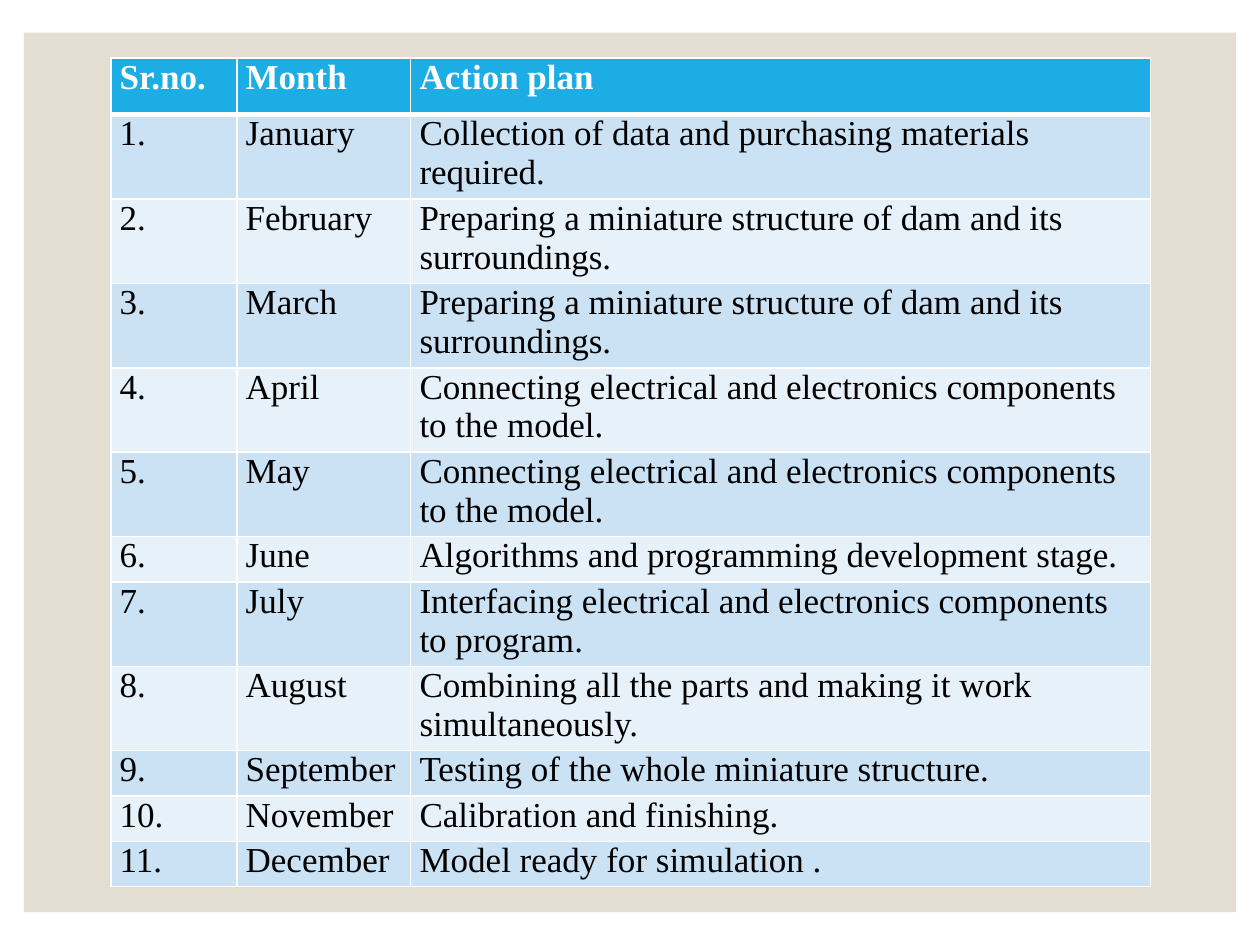
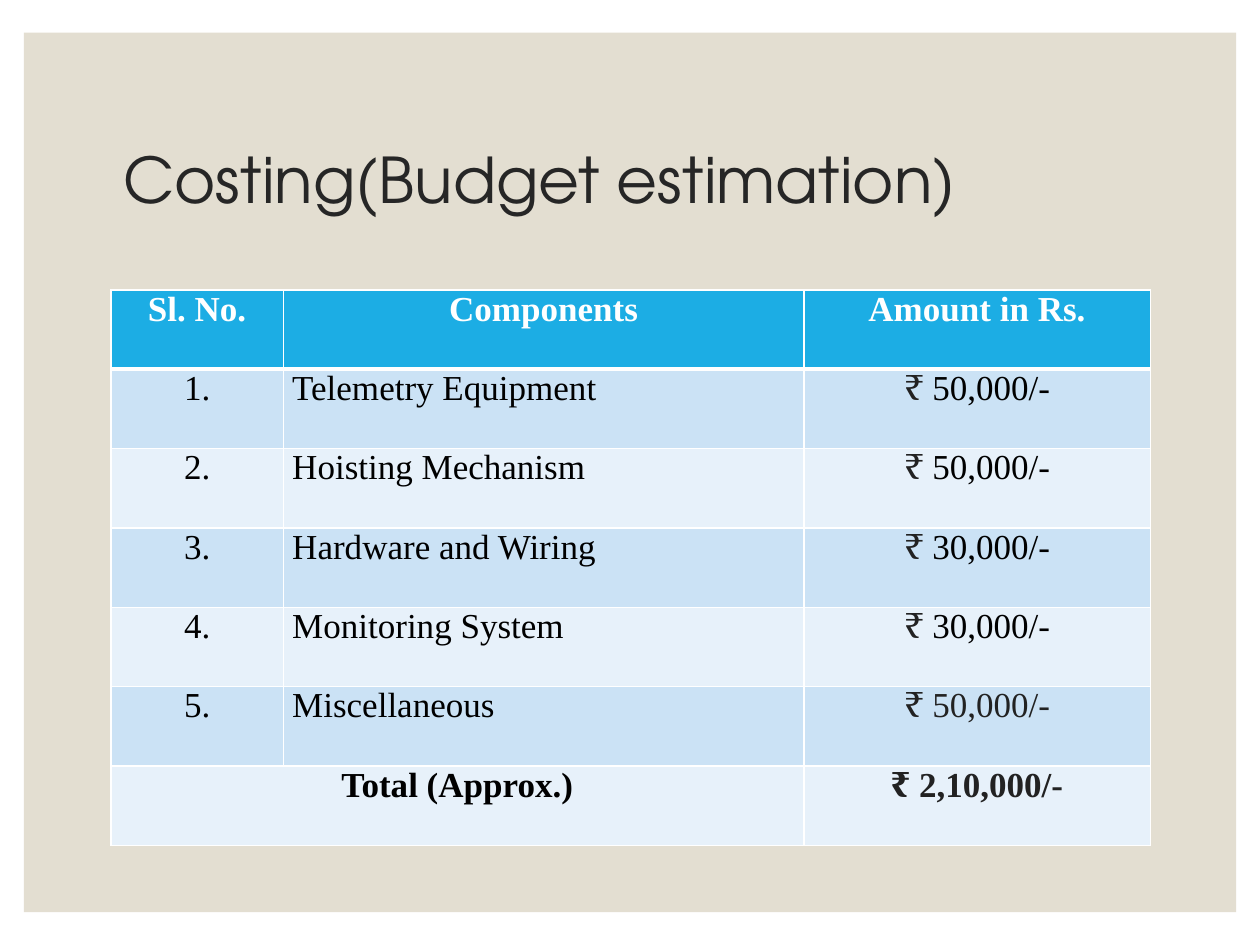
import lxml.etree
import pptx
import pptx.dml.color
import pptx.enum.shapes
import pptx.enum.text
import pptx.oxml.ns
import pptx.util

Inches = pptx.util.Inches
Pt = pptx.util.Pt
RGBColor = pptx.dml.color.RGBColor
Align = pptx.enum.text.PP_ALIGN
Anchor = pptx.enum.text.MSO_ANCHOR
qn = pptx.oxml.ns.qn

WHITE = RGBColor(0xFF, 0xFF, 0xFF)
BLACK = RGBColor(0x00, 0x00, 0x00)
INK = RGBColor(0x22, 0x22, 0x22)
TITLE_GREY = RGBColor(0x26, 0x26, 0x26)
SAND = RGBColor(0xE3, 0xDE, 0xD1)
HEADER_BLUE = RGBColor(0x1C, 0xAD, 0xE4)
BAND_DARK = RGBColor(0xCB, 0xE2, 0xF5)
BAND_LIGHT = RGBColor(0xE7, 0xF1, 0xFA)

LEFT = 0.88
WIDTH = 8.25
ONE_LINE, TWO_LINES = 0.36, 0.67

ACTION_PLAN = [
    ("January", "Collection of data and purchasing materials required.", TWO_LINES),
    ("February", "Preparing a miniature structure of dam and its surroundings.", TWO_LINES),
    ("March", "Preparing a miniature structure of dam and its surroundings.", TWO_LINES),
    ("April", "Connecting electrical and electronics components to the model.", TWO_LINES),
    ("May", "Connecting electrical and electronics components to the model.", TWO_LINES),
    ("June", "Algorithms and programming development stage.", ONE_LINE),
    ("July", "Interfacing electrical and electronics components to program.", TWO_LINES),
    ("August", "Combining all the parts and making it work simultaneously.", TWO_LINES),
    ("September", "Testing of the whole miniature structure.", ONE_LINE),
    ("November", "Calibration and finishing.", ONE_LINE),
    ("December", "Model ready for simulation .", ONE_LINE),
]

COSTS = [
    ("Telemetry Equipment", "50,000/-", BLACK),
    ("Hoisting Mechanism", "50,000/-", BLACK),
    ("Hardware and Wiring", "30,000/-", BLACK),
    ("Monitoring System", "30,000/-", BLACK),
    ("Miscellaneous", "50,000/-", INK),
]


class StyledDeck:
    """Holds the deck's shared style and the page being built."""

    title_font = {"name": "TeX Gyre Adventor", "size": Pt(36), "bold": False}
    cell_font = {"name": "Times New Roman", "size": Pt(20), "bold": False}
    cell_layout = {
        "margin_left": Inches(0.07),
        "margin_right": Inches(0.07),
        "margin_top": 0,
        "margin_bottom": 0,
        "vertical_anchor": Anchor.TOP,
    }
    title_layout = {
        "margin_left": Inches(0.1),
        "margin_right": Inches(0.1),
        "margin_top": Inches(0.05),
        "margin_bottom": Inches(0.05),
        "vertical_anchor": Anchor.MIDDLE,
        "word_wrap": True,
    }

    def __init__(self):
        self.deck = pptx.Presentation()
        self.deck.slide_width = Inches(10)
        self.deck.slide_height = Inches(7.5)
        self.page = None

    def apply(self, target, values):
        for name, value in values.items():
            setattr(target, name, value)

    def new_page(self):
        self.page = self.deck.slides.add_slide(self.deck.slide_layouts[6])
        panel = self.page.shapes.add_shape(
            pptx.enum.shapes.MSO_SHAPE.RECTANGLE,
            Inches(0.19), Inches(0.26), Inches(9.62), Inches(6.98))
        panel.shadow.inherit = False
        panel.fill.solid()
        panel.fill.fore_color.rgb = SAND
        panel.line.fill.background()

    def add_spans(self, para, spans, font):
        for text, color in spans:
            span = para.add_run()
            span.text = text
            self.apply(span.font, font)
            span.font.color.rgb = color

    def title(self, text):
        box = self.page.shapes.add_textbox(
            Inches(LEFT), Inches(0.7), Inches(WIDTH), Inches(1.5))
        self.apply(box.text_frame, self.title_layout)
        para = box.text_frame.paragraphs[0]
        para.line_spacing = 0.9
        self.add_spans(para, [(text, TITLE_GREY)], self.title_font)

    def borders(self, cell, widths):
        properties = cell._tc.get_or_add_tcPr()
        for position, (side, points) in enumerate(widths.items()):
            line = lxml.etree.Element(qn(f"a:ln{side}"), w=str(Pt(points)))
            fill = lxml.etree.SubElement(line, qn("a:solidFill"))
            lxml.etree.SubElement(fill, qn("a:srgbClr"), val=str(WHITE))
            properties.insert(position, line)

    def cell(self, cell, content, row, align, bold):
        self.apply(cell, self.cell_layout)
        cell.fill.solid()
        band = BAND_DARK if row % 2 else BAND_LIGHT
        cell.fill.fore_color.rgb = band if row else HEADER_BLUE
        self.borders(cell, {"L": 1, "R": 1,
                            "T": 3 if row == 1 else 1,
                            "B": 1 if row else 3})
        para = cell.text_frame.paragraphs[0]
        para.alignment = align
        if isinstance(content, str):
            content = [(content, BLACK if row else WHITE)] if content else []
        self.add_spans(para, content, {**self.cell_font, "bold": bold})

    def table(self, top, widths, heights, rows, aligns, header_align, has_total=False):
        table = self.page.shapes.add_table(
            len(rows), len(widths), Inches(LEFT), Inches(top),
            Inches(sum(widths)), Inches(sum(heights))).table
        for column, width in zip(table.columns, widths):
            column.width = Inches(width)
        for line, height in zip(table.rows, heights):
            line.height = Inches(height)
        last = len(rows) - 1
        for row, contents in enumerate(rows):
            emphasis = row == 0 or (has_total and row == last)
            for column, content in enumerate(contents):
                align = header_align if emphasis else aligns[column]
                self.cell(table.cell(row, column), content, row, align, emphasis)
        if has_total:
            table.cell(last, 0).merge(table.cell(last, 1))


def action_plan_page(styled):
    styled.new_page()
    rows = [("Sr.no.", "Month", "Action plan")]
    rows += [(f"{number}.", month, action)
             for number, (month, action, _) in enumerate(ACTION_PLAN, 1)]
    heights = [0.45] + [height for _, _, height in ACTION_PLAN]
    styled.table(0.46, [1, 1.38, 5.87], heights, rows, [Align.LEFT] * 3, Align.LEFT)


def costing_page(styled):
    styled.new_page()
    styled.title("Costing(Budget estimation)")
    rows = [("Sl. No.", "Components", "Amount in Rs.")]
    rows += [(f"{number}.", component, [("₹ ", INK), (amount, color)])
             for number, (component, amount, color) in enumerate(COSTS, 1)]
    rows.append(("Total (Approx.)", "", [("₹ 2,10,000/-", INK)]))
    styled.table(2.3, [1.37, 4.13, 2.75], [0.63] * len(rows), rows,
                 [Align.CENTER, Align.LEFT, Align.CENTER], Align.CENTER, has_total=True)


def main():
    styled = StyledDeck()
    action_plan_page(styled)
    costing_page(styled)
    styled.deck.save("out.pptx")


if __name__ == "__main__":
    main()
